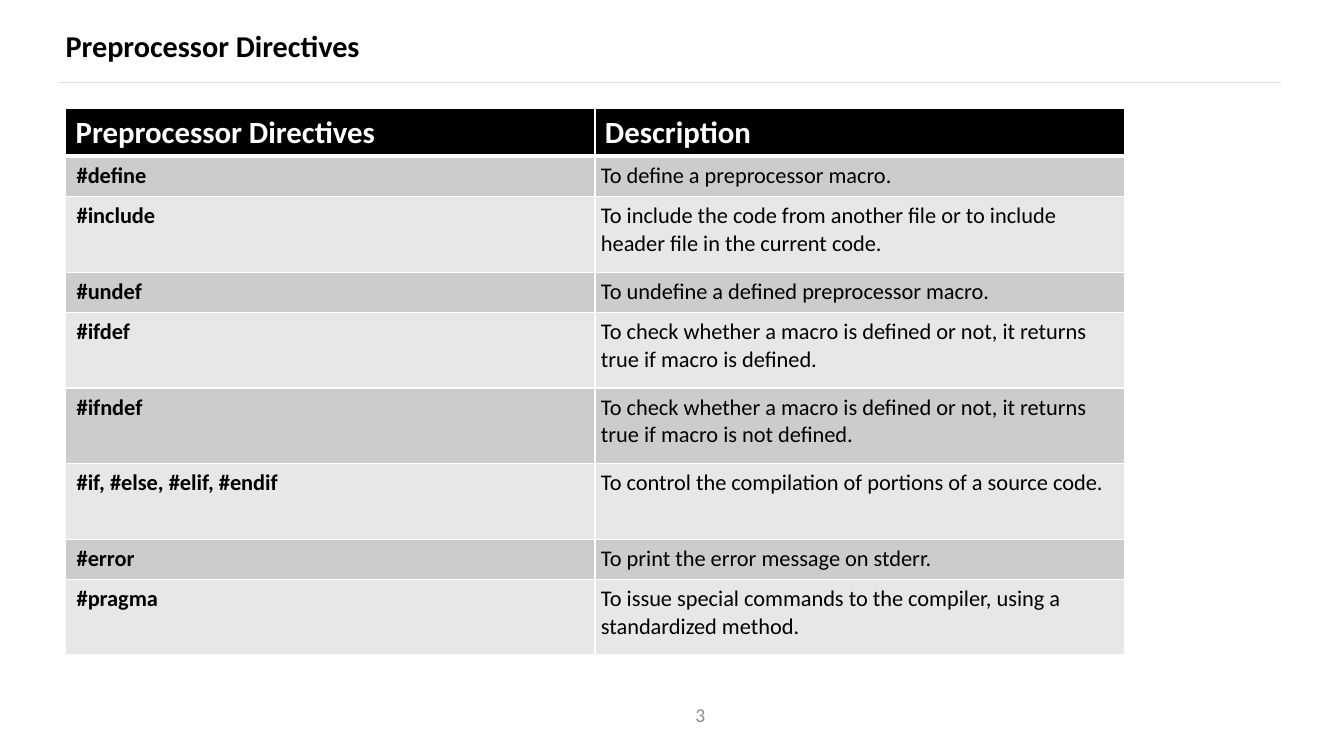
from lxml.etree import SubElement as Sub
from pptx import Presentation
from pptx.dml.color import RGBColor as Rgb
from pptx.enum.shapes import MSO_CONNECTOR as Conn
from pptx.enum.text import MSO_ANCHOR as Anchor, MSO_AUTO_SIZE as Auto, PP_ALIGN as Align
from pptx.oxml.ns import qn
from pptx.util import Inches, Pt

HUES = {"ink": "000000", "paper": "FFFFFF", "rule": "E0E0E0", "mute": "8C8C8C",
        "dark": "CCCCCC", "light": "E7E7E7"}
LEFT = 4.88
HEAD, LOW, TALL = 6.27, 5.33, 10
ROWS = [
    (LOW, "#define", "To define a preprocessor macro."),
    (TALL, "#include", "To include the code from another file or to include header file in the current code."),
    (LOW, "#undef", "To undefine a defined preprocessor macro."),
    (TALL, "#ifdef", "To check whether a macro is defined or not, it returns true if macro is defined."),
    (TALL, "#ifndef", "To check whether a macro is defined or not, it returns true if macro is not defined."),
    (TALL, "#if, #else, #elif, #endif", "To control the compilation of portions of a source code."),
    (LOW, "#error", "To print the error message on stderr."),
    (TALL, "#pragma", "To issue special commands to the compiler, using a standardized method."),
]


class Deck:
    """Holds the style and the current slide; lengths are percent of the slide's size."""

    def __init__(self):
        self.show = Presentation()
        self.show.slide_width, self.show.slide_height = Inches(13.33), Inches(7.5)
        self.slide = self.show.slides.add_slide(self.show.slide_layouts[5])

    def wide(self, share):
        return int(self.show.slide_width * share / 100)

    def high(self, share):
        return int(self.show.slide_height * share / 100)

    def box(self, x, y, w, h):
        return self.wide(x), self.high(y), self.wide(w), self.high(h)

    def hue(self, name):
        return Rgb.from_string(HUES[name])

    def text(self, frame, words, size, hue, bold=False, align=Align.LEFT):
        frame.word_wrap = True
        para = frame.paragraphs[0]
        para.text, para.alignment = words, align
        font = para.font
        font.name, font.size, font.bold = "Calibri", Pt(size), bold
        font.color.rgb = self.hue(hue)

    def title(self, words, *area):
        head = self.slide.shapes.title
        head.left, head.top, head.width, head.height = self.box(*area)
        frame = head.text_frame
        frame.auto_size, frame.vertical_anchor = Auto.NONE, Anchor.MIDDLE
        frame.margin_left = frame.margin_right = frame.margin_top = frame.margin_bottom = 0
        self.text(frame, words, 21.6, "ink", True)

    def label(self, words, *area):
        frame = self.slide.shapes.add_textbox(*self.box(*area)).text_frame
        frame.vertical_anchor = Anchor.MIDDLE
        self.text(frame, words, 14, "mute", align=Align.CENTER)

    def line(self, x, y, end):
        rule = self.slide.shapes.add_connector(
            Conn.STRAIGHT, self.wide(x), self.high(y), self.wide(end), self.high(y))
        rule.line.color.rgb, rule.line.width = self.hue("rule"), Pt(0.75)
        Sub(rule._element.spPr, qn("a:effectLst"))

    def edge(self, cell, row):
        props = cell._tc.get_or_add_tcPr()
        for side in "LRTB":
            thick = (row, side) in ((0, "B"), (1, "T"))
            line = Sub(props, qn("a:ln" + side), w=str(Pt(3 if thick else 1)))
            Sub(Sub(line, qn("a:solidFill")), qn("a:srgbClr"), val=HUES["paper"])

    def cell(self, cell, words, row, col):
        self.edge(cell, row)
        cell.fill.solid()
        if row == 0:
            cell.fill.fore_color.rgb = self.hue("ink")
            self.text(cell.text_frame, words, 22, "paper", True)
            return
        cell.fill.fore_color.rgb = self.hue("dark" if row % 2 else "light")
        cell.margin_left = Inches(0.06 if col else 0.11)
        cell.margin_right = cell.margin_top = cell.margin_bottom = Inches(0.06)
        self.text(cell.text_frame, words, 16, "ink", col == 0)

    def table(self, rows, x, y, w):
        area = self.box(x, y, w, sum(row[0] for row in rows))
        grid = self.slide.shapes.add_table(len(rows), 2, *area).table
        for r, (tall, *cells) in enumerate(rows):
            grid.rows[r].height = self.high(tall)
            for c, words in enumerate(cells):
                self.cell(grid.cell(r, c), words, r, c)


def main():
    deck = Deck()
    deck.line(95.35, 10.93, 4.35)
    deck.title("Preprocessor Directives", LEFT, 2.53, 76.97, 6.93)
    deck.label("3", 40.44, 91.87, 23.33, 5.33)
    deck.table([(HEAD, "Preprocessor Directives", "Description"), *ROWS], LEFT, 14.4, 78.77)
    deck.show.save("out.pptx")


if __name__ == "__main__":
    main()
